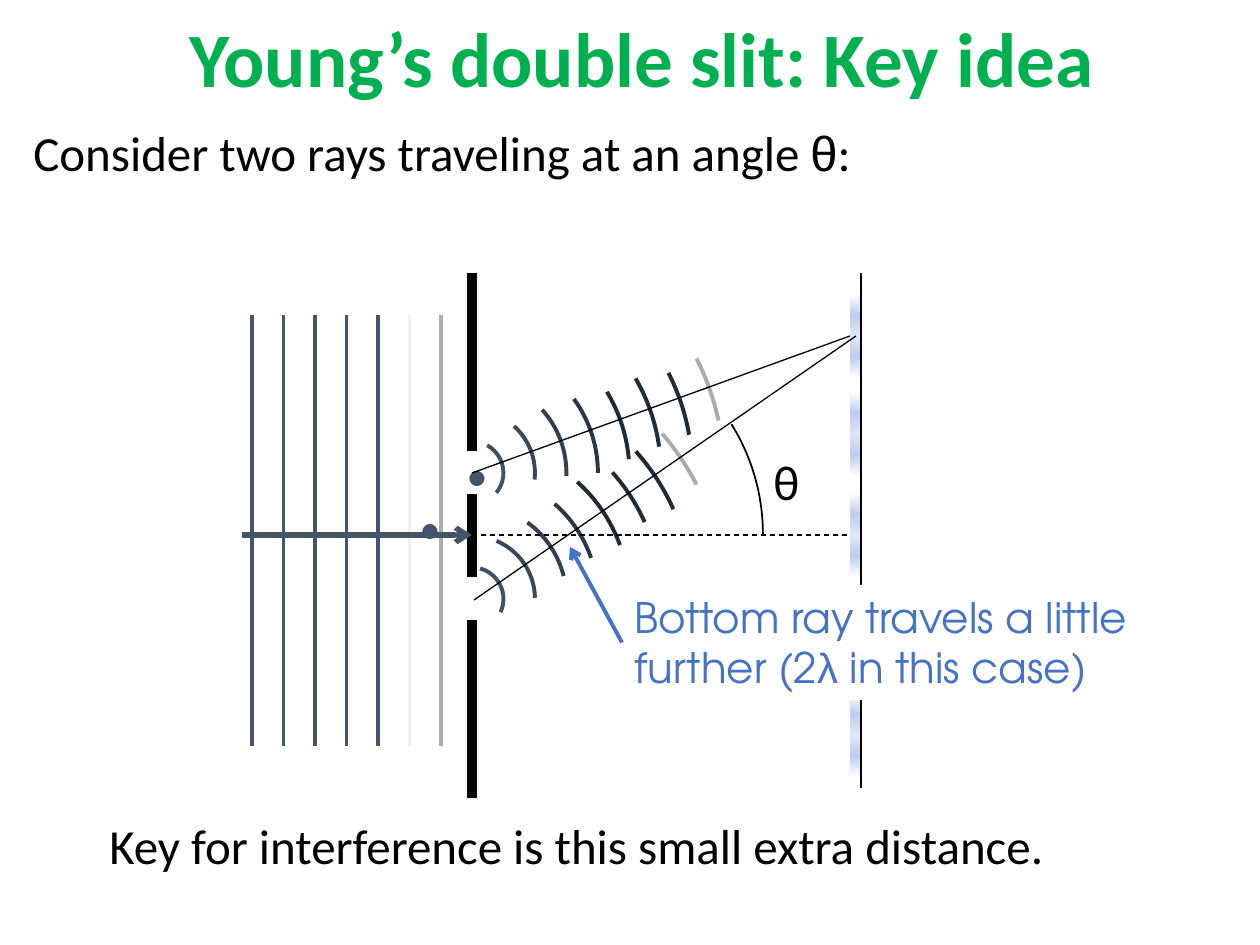
from lxml.etree import SubElement
from pptx import Presentation
from pptx.dml.color import RGBColor
from pptx.enum.dml import MSO_LINE
from pptx.enum.shapes import MSO_CONNECTOR, MSO_SHAPE
from pptx.enum.text import MSO_ANCHOR, PP_ALIGN
from pptx.oxml import parse_xml
from pptx.oxml.ns import nsdecls, qn
from pptx.util import Emu, Pt

SCALE = 914400 / 126  # EMU in one px
COLORS = {
    "black": "000000", "white": "FFFFFF", "title": "00B050", "note": "4472C4",
    "wave": "44546A", "pale": "F1F0F0", "grey": "AFABAB",
    "fringe": "C0CBF0", "fringe edge": "E0E5F7",
}
BODY_FONT, NOTE_FONT, GREEK_FONT = "Calibri", "TeX Gyre Adventor", "Arial"

presentation = Presentation()
presentation.slide_width = Emu(round(1260 * SCALE))
presentation.slide_height = Emu(round(945 * SCALE))
slide = presentation.slides.add_slide(presentation.slide_layouts[6])
shapes = slide.shapes


def add_text(text, left, top, width, height, font=BODY_FONT, size=28, color="black",
             bold=False, align=PP_ALIGN.LEFT, anchor=MSO_ANCHOR.TOP, wrap=True, fill=None):
    """Add a text box; text is a string or a list of (string, font) runs."""
    area = [Emu(round(value * SCALE)) for value in (left, top, width, height)]
    if fill:
        shape = shapes.add_shape(MSO_SHAPE.RECTANGLE, *area)
        shape.shadow.inherit = False
        shape.fill.solid()
        shape.fill.fore_color.rgb = RGBColor.from_string(COLORS[fill])
        shape.line.fill.background()
    else:
        shape = shapes.add_textbox(*area)
    frame = shape.text_frame
    frame.word_wrap = wrap
    frame.vertical_anchor = anchor
    paragraph = frame.paragraphs[0]
    paragraph.alignment = align
    for words, run_font in [(text, font)] if isinstance(text, str) else text:
        run = paragraph.add_run()
        run.text = words
        run.font.name = run_font
        run.font.size = Pt(size)
        run.font.bold = bold
        run.font.color.rgb = RGBColor.from_string(COLORS[color])
    return shape


def add_stroke(points, color, weight, arc=None, dash=False, arrow=False):
    """Add a line from (x1, y1) to (x2, y2), or with arc=(start, end) degrees
    a circular arc inside the box those two points span."""
    x1, y1, x2, y2 = [Emu(round(value * SCALE)) for value in points]
    if arc:
        stroke = shapes.add_shape(MSO_SHAPE.ARC, x1, y1, x2 - x1, y2 - y1)
        stroke.shadow.inherit = False
        stroke.fill.background()
        for index, degrees in enumerate(arc):
            stroke.adjustments[index] = degrees * 0.6
    else:
        stroke = shapes.add_connector(MSO_CONNECTOR.STRAIGHT, x1, y1, x2, y2)
        SubElement(stroke._element.spPr, qn("a:effectLst"))
    stroke.line.color.rgb = RGBColor.from_string(color)
    stroke.line.width = Pt(weight)
    if dash:
        stroke.line.dash_style = MSO_LINE.DASH
    if arrow:
        SubElement(stroke.line._get_or_add_ln(), qn("a:tailEnd"), type="arrow")
    return stroke


# Incoming plane waves
for index, name in enumerate(["wave"] * 5 + ["pale", "grey"]):
    x = 252 + 31.5 * index
    add_stroke((x, 315, x, 746), COLORS[name], 2.25)

# Barrier with two slits
for top, bottom in [(273, 451), (620, 798), (494, 577)]:
    add_stroke((472, top, 472, bottom), COLORS["black"], 6)

# Circular waves from each slit: (start, end) angles, radius growing by 31.5 px
WAVE_COLORS = ["415065", "3A475A", "333F50", "2C3745",
               "222A35", "222A35", "222A35", COLORS["grey"]]
SLIT_ARCS = {
    473: [(-61, 39), (-48, 6), (-42, 2), (-36, 0),
          (-31, -5), (-30, -8), (-27, -10), (-27, -12)],
    599: [(-75, 25), (-67, -1), (-54, -14), (-49, -19),
          (-48, -20), (-42, -24), (-42, -24), (-41, -27)],
}
for center, arcs in SLIT_ARCS.items():
    for index, (angles, color) in enumerate(zip(arcs, WAVE_COLORS)):
        radius = 31.5 * (index + 1)
        box = (472 - radius, center - radius, 472 + radius, center + radius)
        add_stroke(box, color, 2.25, arc=[angle % 360 for angle in angles])

# Source dots
for left, top in [(454, 441), (407, 494)]:
    add_text("•", left, top, 40, 63, font=NOTE_FONT, size=24, color="wave",
             anchor=MSO_ANCHOR.MIDDLE, wrap=False)

# Axis and upper ray
add_stroke((472, 535, 850, 535), COLORS["black"], 0.75, dash=True)
add_stroke((472, 473, 850, 336), COLORS["black"], 0.75)

# Bright fringes: two mirrored gradient halves around each centre
HALF = 42
for center in (535, 434, 336, 735):
    for top, stops in [(center - HALF, ("white", "fringe", "fringe edge")),
                       (center, ("fringe edge", "fringe", "white"))]:
        half = shapes.add_shape(MSO_SHAPE.RECTANGLE, *[
            Emu(round(value * SCALE)) for value in (850, top, 10, HALF)])
        half.shadow.inherit = False
        half.line.fill.background()
        stop_xml = "".join(
            f'<a:gs pos="{position}"><a:srgbClr val="{COLORS[name]}"/></a:gs>'
            for position, name in zip((0, 50000, 100000), stops))
        half._element.spPr.find(qn("a:prstGeom")).addnext(parse_xml(
            f'<a:gradFill {nsdecls("a")} rotWithShape="1"><a:gsLst>{stop_xml}</a:gsLst>'
            '<a:lin ang="5400000" scaled="0"/></a:gradFill>'))

# Title
add_text("Young’s double slit: Key idea", 76, 0, 1133, 113, size=44, color="title",
         bold=True, align=PP_ALIGN.CENTER, anchor=MSO_ANCHOR.MIDDLE)

# Light direction and screen
add_stroke((242, 535, 472, 535), COLORS["wave"], 3, arrow=True)
add_stroke((861, 273, 861, 788), COLORS["black"], 0.75)

# Statements
add_text("Key for interference is this small extra distance.", 97, 809, 1003, 72)
add_text([("Consider two rays traveling at an angle ", BODY_FONT), ("θ", GREEK_FONT),
          (":", BODY_FONT)], 21, 116, 1221, 72)

# Lower ray and its angle
add_stroke((474, 600, 856, 336), COLORS["black"], 0.75)
add_stroke((349, 327, 763, 741), COLORS["black"], 1, arc=(328, 0))
add_text("θ", 761, 445, 49, 72, wrap=False)

# Note with pointer
note = add_text([("Bottom ray travels a little further (2", NOTE_FONT), ("λ", GREEK_FONT),
                 (" in this case)", NOTE_FONT)],
                622, 585, 552, 115, size=24, color="note", fill="white")
pointer = add_stroke((622, 642, 570, 547), COLORS["note"], 2.25, arrow=True)
pointer.begin_connect(note, 1)

presentation.save("out.pptx")
